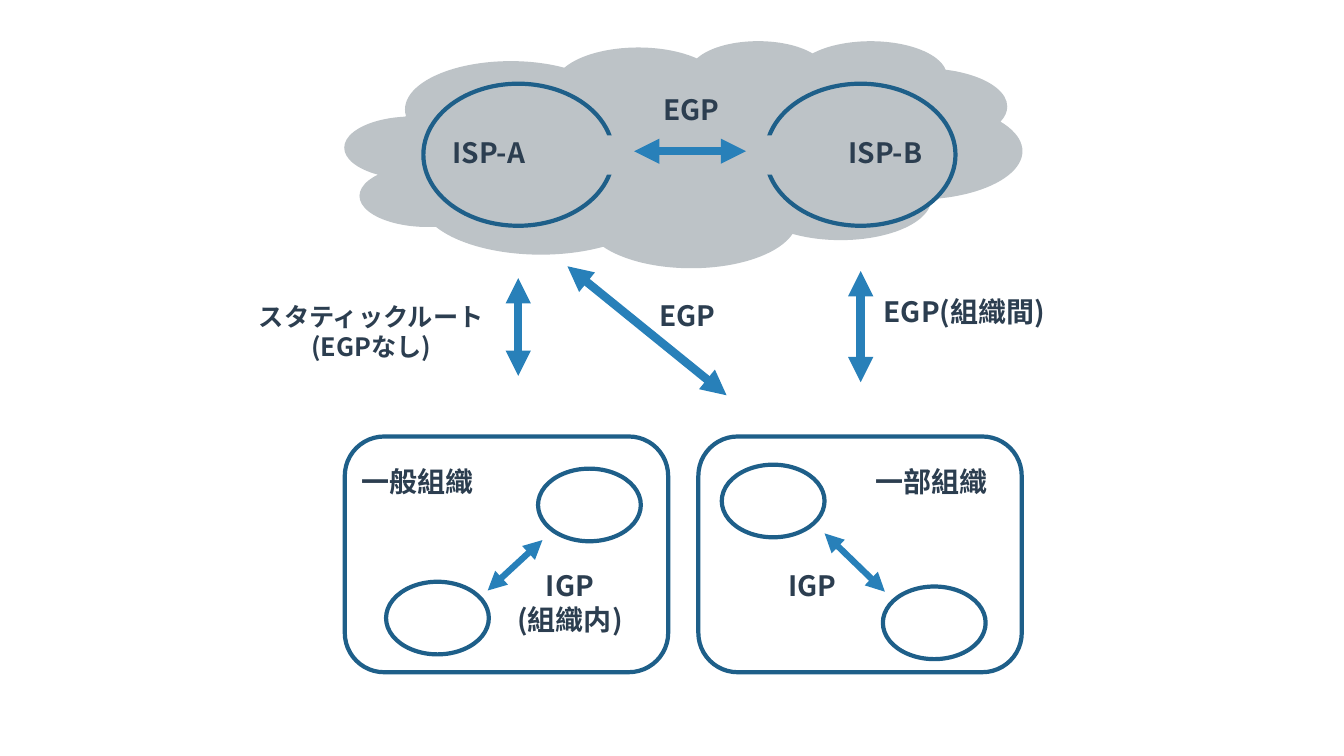
import pptx
import pptx.dml.color
import pptx.enum.shapes
import pptx.enum.text
import pptx.oxml
import pptx.oxml.ns
import pptx.util
from dataclasses import dataclass

Cm = pptx.util.Cm
Pt = pptx.util.Pt
Shape = pptx.enum.shapes.MSO_SHAPE
Align = pptx.enum.text.PP_ALIGN


@dataclass(frozen=True)
class Theme:
    font: str = "Noto Sans CJK JP"
    cloud: str = "BDC3C7"
    outline: str = "1E5F89"
    arrow: str = "2880B9"
    text: str = "2C3E50"
    label_size: float = 20
    note_size: float = 18
    outline_width: float = 3
    route_width: float = 6
    inner_width: float = 4.5


def color(value):
    return pptx.dml.color.RGBColor.from_string(value)


def element(markup):
    return pptx.oxml.parse_xml(markup.replace("/>", f" {pptx.oxml.ns.nsdecls('a')}/>"))


class Diagram:
    def __init__(self, slide, theme):
        self.shapes = slide.shapes
        self.theme = theme

    def add_shape(self, kind, left, top, width, height):
        shape = self.shapes.add_shape(kind, Cm(left), Cm(top), Cm(width), Cm(height))
        shape.shadow.inherit = False
        return shape

    def solid(self, kind, left, top, width, height):
        shape = self.add_shape(kind, left, top, width, height)
        shape.fill.solid()
        shape.fill.fore_color.rgb = color(self.theme.cloud)
        shape.line.fill.background()

    def outline(self, kind, left, top, width, height):
        shape = self.add_shape(kind, left, top, width, height)
        shape.fill.background()
        shape.line.color.rgb = color(self.theme.outline)
        shape.line.width = Pt(self.theme.outline_width)

    def arrow(self, start, end, width):
        line = self.shapes.add_connector(
            pptx.enum.shapes.MSO_CONNECTOR.STRAIGHT,
            Cm(start[0]), Cm(start[1]), Cm(end[0]), Cm(end[1]))
        line.line.color.rgb = color(self.theme.arrow)
        line.line.width = Pt(width)
        stroke = line.line._get_or_add_ln()
        for tag in ("headEnd", "tailEnd"):
            stroke.append(element(f'<a:{tag} type="triangle"/>'))
        stroke.addnext(element("<a:effectLst/>"))

    def label(self, lines, left, top, width, height=1.12, size=None, align=Align.LEFT):
        box = self.shapes.add_textbox(Cm(left), Cm(top), Cm(width), Cm(height))
        frame = box.text_frame
        frame.word_wrap = False
        frame.auto_size = pptx.enum.text.MSO_AUTO_SIZE.SHAPE_TO_FIT_TEXT
        frame.text = "\n".join(lines)
        for para in frame.paragraphs:
            para.alignment = align
            font = para.font
            font.name = self.theme.font
            font.size = Pt(size or self.theme.label_size)
            font.bold = True
            font.color.rgb = color(self.theme.text)
            latin = font._rPr.find(pptx.oxml.ns.qn("a:latin"))
            latin.addnext(element(f'<a:ea typeface="{self.theme.font}"/>'))


def main():
    deck = pptx.Presentation()
    deck.slide_width, deck.slide_height = Cm(33.87), Cm(19.05)
    theme = Theme()
    page = Diagram(deck.slides.add_slide(deck.slide_layouts[6]), theme)

    page.solid(Shape.CLOUD, 8.69, 1.02, 17.07, 5.72)
    for name, ring_left, label_left in (("ISP-A", 10.67, 11.15), ("ISP-B", 19.3, 21.13)):
        page.outline(Shape.OVAL, ring_left, 2.11, 4.78, 3.58)
        page.label([name], label_left, 3.28, 2.5)

    for start, end in (
        ((13.06, 7.01), (13.06, 9.47)),
        ((14.3, 6.71), (18.31, 9.96)),
        ((21.69, 6.83), (21.69, 9.63)),
        ((15.98, 3.81), (18.8, 3.81)),
    ):
        page.arrow(start, end, theme.route_width)
    page.label(["スタティックルート", "(EGPなし)"], 6.22, 7.47, 6.27, 1.8,
               theme.note_size, Align.CENTER)
    page.label(["EGP"], 16.36, 7.39, 2.01)
    page.label(["EGP"], 16.46, 2.21, 2.01)
    page.label(["EGP(組織間)"], 22.02, 7.29, 4.72)

    for name, frame_left, label_left in (("一般組織", 8.69, 8.86), ("一部組織", 17.6, 21.82)):
        page.outline(Shape.ROUNDED_RECTANGLE, frame_left, 11, 8.15, 5.94)
        page.label([name], label_left, 11.58, 3.35)
    for left, top in ((18.19, 11.71), (22.25, 14.78), (13.56, 11.81), (9.73, 14.66)):
        page.outline(Shape.OVAL, left, top, 2.59, 1.83)
    page.arrow((20.78, 13.44), (22.3, 14.91), theme.inner_width)
    page.arrow((13.67, 13.61), (12.29, 14.88), theme.inner_width)
    page.label(["IGP"], 19.61, 14.2, 1.78)
    page.label(["IGP", "(組織内)"], 12.75, 14.2, 3.23, 1.96, align=Align.CENTER)

    for left in (14.55, 18.97):
        page.solid(Shape.RECTANGLE, left, 3.41, 1.32, 0.99)

    deck.save("out.pptx")


if __name__ == "__main__":
    main()
